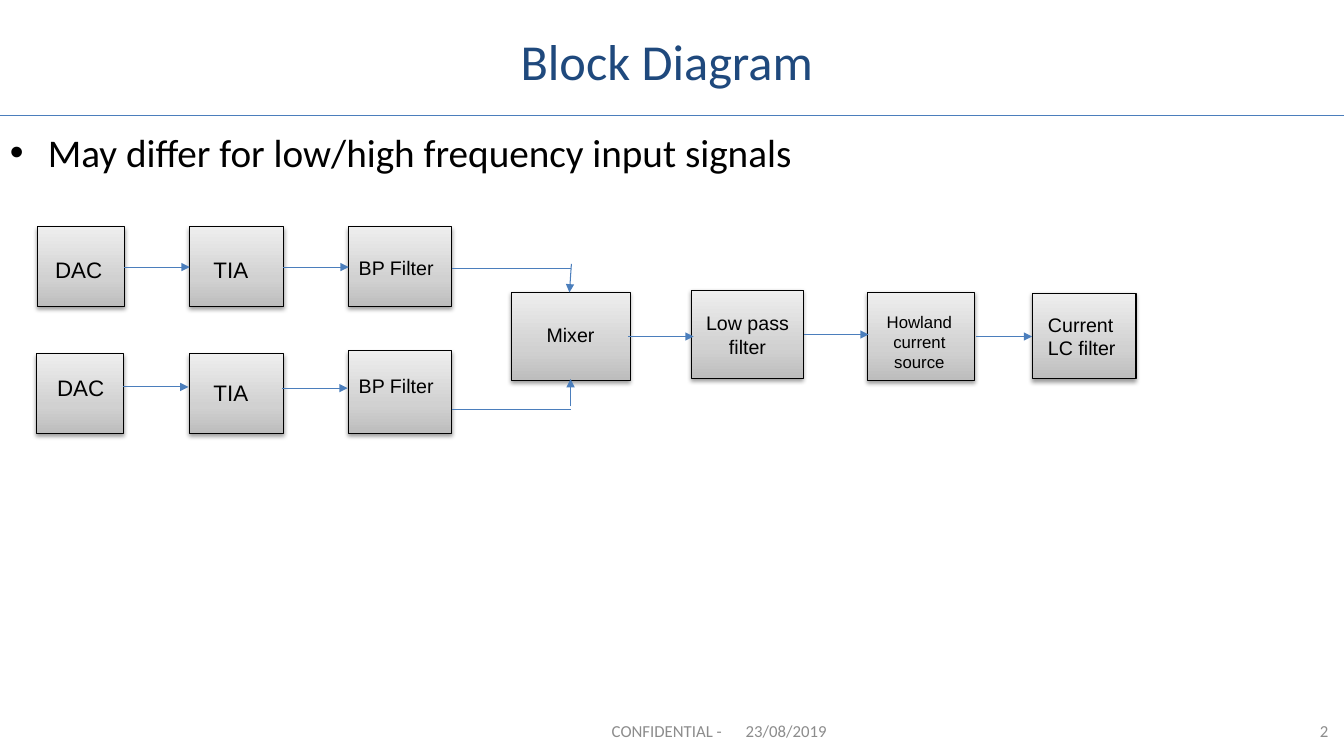
from pptx import Presentation
from pptx.dml.color import RGBColor as RGB
from pptx.enum.shapes import MSO_CONNECTOR as CONN, MSO_SHAPE as SHAPE
from pptx.enum.text import MSO_ANCHOR as ANCHOR, PP_ALIGN as ALIGN
from pptx.oxml import parse_xml
from pptx.oxml.ns import nsdecls
from pptx.util import Cm, Pt

COLORS = {"title": "1F497D", "text": "000000", "footer": "8C8C8C", "line": "4B7EBC",
          "dark": "BDBDBD", "mid": "D1D1D1", "light": "EEEEEE"}
L, C, R = ALIGN.LEFT, ALIGN.CENTER, ALIGN.RIGHT

TITLE = ("Block Diagram", (0.41, 0.13, 32.79, 2.79))
BULLET = ("May differ for low/high frequency input signals ", (0, 3.12, 32.79, 13.59))
FOOTERS = [
    ("CONFIDENTIAL - ", (11.58, 17.91, 6.96, 1.02), R),
    ("23/08/2019", (18.54, 17.91, 3.48, 1.02), L),
    ("2", (25.83, 17.91, 7.9, 1.02), R),
]
# label, block box, label left/top/width, size, lines, alignment
BLOCKS = [
    ("DAC", (0.94, 5.72, 2.21, 2.01), (1.14, 6.32, 1.8), 16, 1, L),
    ("DAC", (0.91, 8.92, 2.21, 2.01), (1.19, 9.3, 1.73), 16, 1, L),
    ("TIA", (4.78, 5.72, 2.36, 2.01), (5.13, 6.32, 1.6), 16, 1, L),
    ("TIA", (4.78, 8.92, 2.36, 2.01), (5.13, 9.42, 1.6), 16, 1, L),
    ("BP Filter", (8.79, 5.72, 2.59, 2.01), (8.79, 6.32, 2.59), 14, 1, L),
    ("BP Filter", (8.79, 8.84, 2.59, 2.08), (8.79, 9.3, 2.46), 14, 1, L),
    ("Mixer", (12.88, 7.37, 3, 2.21), (13.06, 8, 2.64), 14, 1, C),
    ("Low pass filter", (17.42, 7.32, 2.82, 2.21), (17.48, 7.72, 2.72), 14, 2, C),
    ("Howland current source", (21.87, 7.37, 2.69, 2.21), (22, 7.72, 2.34), 12, 3, C),
    ("Current LC filter", (26.01, 7.39, 2.62, 2.16), (26.16, 7.75, 2.36), 14, 2, L),
]
RULE = (0, 2.92, 33.87, 2.92)
ARROWS = [
    (3.12, 6.73, 4.78, 6.73), (3.1, 9.75, 4.75, 9.75),
    (7.14, 6.73, 8.79, 6.73), (7.11, 9.78, 8.76, 9.78),
    (15.82, 8.48, 17.48, 8.48), (20.27, 8.43, 21.89, 8.43), (24.59, 8.48, 26.01, 8.48),
    (14.4, 6.65, 14.35, 7.37), (14.38, 10.24, 14.38, 9.55),
]
PLAIN_LINES = [(11.38, 6.76, 14.38, 6.76), (11.38, 10.31, 14.4, 10.31)]

prs = Presentation()
prs.slide_width, prs.slide_height = Cm(33.87), Cm(19.05)
slide = prs.slides.add_slide(prs.slide_layouts[6])
shapes = slide.shapes


def element(tag, attrs="", inner=""):
    return parse_xml(f"<a:{tag} {nsdecls('a')} {attrs}>{inner}</a:{tag}>")


def color(name):
    return f'<a:srgbClr val="{COLORS[name]}"/>'


def add_text(text, box, size, font, tone, align=L, anchor=ANCHOR.TOP):
    tf = shapes.add_textbox(*map(Cm, box)).text_frame
    tf.word_wrap, tf.vertical_anchor = True, anchor
    p = tf.paragraphs[0]
    p.alignment = align
    r = p.add_run()
    r.text = text
    for key, value in {"size": Pt(size), "name": font}.items():
        setattr(r.font, key, value)
    r.font.color.rgb = RGB.from_string(COLORS[tone])
    return p


def add_line(ends, arrow=False):
    cx = shapes.add_connector(CONN.STRAIGHT, *map(Cm, ends))
    cx.line.width = Pt(0.75)
    cx.line.color.rgb = RGB.from_string(COLORS["line"])
    if arrow:
        cx.line._get_or_add_ln().append(element("tailEnd", 'type="triangle"'))
    cx._element.spPr.append(element("effectLst"))


def add_block(box):
    sp = shapes.add_shape(SHAPE.RECTANGLE, *map(Cm, box))
    sp.line.width = Pt(0.75)
    sp.line.color.rgb = RGB.from_string(COLORS["text"])
    stops = "".join(f'<a:gs pos="{pos * 1000}">{color(name)}</a:gs>'
                    for pos, name in ((0, "dark"), (35, "mid"), (100, "light")))
    sp.line._get_or_add_ln().addprevious(element(
        "gradFill", 'rotWithShape="1"', f'<a:gsLst>{stops}</a:gsLst><a:lin ang="16200000" scaled="0"/>'))
    sp.shadow.inherit = False
    shade = color("text").replace("/>", '><a:alpha val="38000"/></a:srgbClr>')
    sp._element.spPr[-1].append(element(
        "outerShdw", 'blurRad="40000" dist="20000" dir="5400000" rotWithShape="0"', shade))


add_line(RULE)
add_text(*TITLE, 36, "Calibri", "title", C, ANCHOR.MIDDLE)
for text, box, align in FOOTERS:
    add_text(text, box, 12, "Calibri", "footer", align, ANCHOR.MIDDLE)

p = add_text(*BULLET, 28, "Calibri", "text")
p.space_before = Pt(18)
pPr = p._p.get_or_add_pPr()
for key, value in {"marL": 0.96, "indent": -0.96}.items():
    pPr.set(key, str(int(Cm(value))))
pPr.append(element("buFont", 'typeface="Arial"'))
pPr.append(element("buChar", 'char="•"'))

for block in BLOCKS:
    add_block(block[1])
for text, _, label, size, lines, align in BLOCKS:
    height = 0.25 + lines * size * 1.2 * 2.54 / 72
    add_text(text, (*label, height), size, "Arial", "text", align)

for ends in ARROWS:
    add_line(ends, arrow=True)
for ends in PLAIN_LINES:
    add_line(ends)

prs.save("out.pptx")
